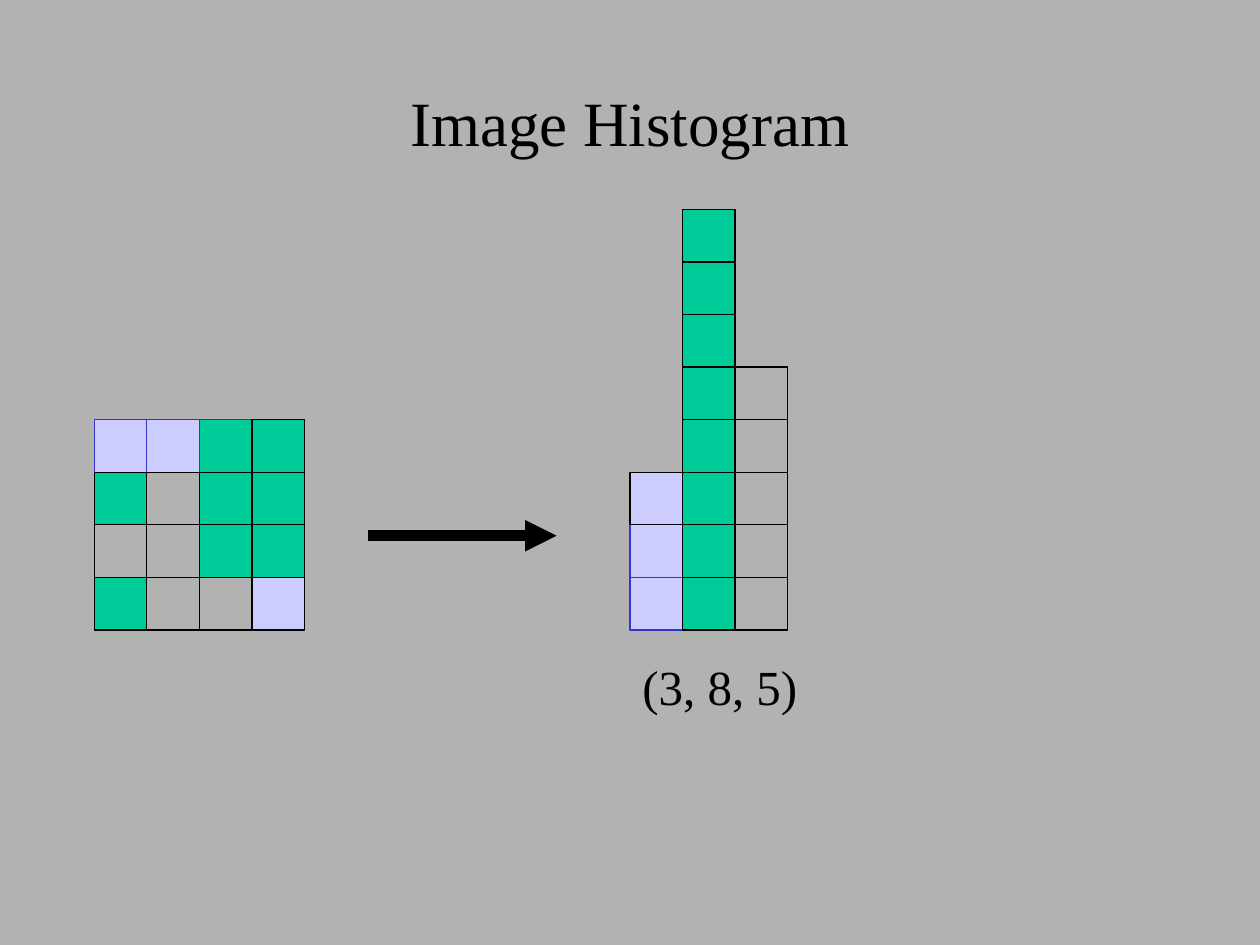
from dataclasses import dataclass
from typing import NamedTuple

from lxml import etree
from pptx import Presentation
from pptx.dml.color import RGBColor
from pptx.enum.shapes import MSO_CONNECTOR, MSO_SHAPE
from pptx.enum.text import MSO_ANCHOR, PP_ALIGN
from pptx.oxml.ns import qn
from pptx.util import Cm, Pt

RECT = MSO_SHAPE.RECTANGLE
STRAIGHT = MSO_CONNECTOR.STRAIGHT
TOP, MIDDLE = MSO_ANCHOR.TOP, MSO_ANCHOR.MIDDLE
LEFT, CENTER = PP_ALIGN.LEFT, PP_ALIGN.CENTER


@dataclass(frozen=True)
class Theme:
    gray: RGBColor = RGBColor(0xB2, 0xB2, 0xB2)
    green: RGBColor = RGBColor(0x00, 0xCC, 0x99)
    lavender: RGBColor = RGBColor(0xCC, 0xCC, 0xFF)
    blue: RGBColor = RGBColor(0x33, 0x33, 0xCC)
    black: RGBColor = RGBColor(0, 0, 0)
    font: str = "Times New Roman"
    title_size: Pt = Pt(36)
    label_size: Pt = Pt(28)
    cell_line: Pt = Pt(0.75)
    arrow_line: Pt = Pt(6)


class Cell(NamedTuple):
    col: int
    level: int  # 0 is the bottom row
    fill: RGBColor


class Label(NamedTuple):
    text: str
    box: tuple[float, float, float, float]
    size: Pt
    align: PP_ALIGN
    anchor: MSO_ANCHOR


THEME = Theme()
CELL = 1.06
BASELINE = 12.7
IMAGE_LEFT = 1.9
HISTOGRAM_LEFT = 12.7

TONES = {"L": THEME.lavender, "G": THEME.green, "-": THEME.gray}
IMAGE_ROWS = ["LLGG", "G-GG", "--GG", "G--L"]
HISTOGRAM = {"L": 3, "G": 8, "-": 5}

LABELS = [
    Label("Image Histogram", (1.9, 0.85, 21.6, 3.18), THEME.title_size, CENTER, MIDDLE),
    Label("(3, 8, 5)", (12.7, 13.12, 3.64, 1.45), THEME.label_size, LEFT, TOP),
]


def add_label(slide, label: Label) -> None:
    tf = slide.shapes.add_textbox(*map(Cm, label.box)).text_frame
    tf.word_wrap = True
    tf.vertical_anchor = label.anchor
    p = tf.paragraphs[0]
    p.alignment = label.align
    r = p.add_run()
    r.text = label.text
    for name, value in {"name": THEME.font, "size": label.size}.items():
        setattr(r.font, name, value)
    r.font.color.rgb = THEME.black


def add_cells(slide, left: float, cells: list[Cell], blue_count: int) -> None:
    """Stack cells on the baseline; the first blue_count have a blue outline."""
    for i, cell in enumerate(cells):
        x = left + cell.col * CELL
        y = BASELINE - (cell.level + 1) * CELL
        sp = slide.shapes.add_shape(RECT, Cm(x), Cm(y), Cm(CELL), Cm(CELL))
        sp.shadow.inherit = False
        sp.fill.solid()
        sp.fill.fore_color.rgb = cell.fill
        sp.line.width = THEME.cell_line
        sp.line.color.rgb = THEME.blue if i < blue_count else THEME.black


def add_arrow(slide, x1: float, x2: float, y: float) -> None:
    arrow = slide.shapes.add_connector(STRAIGHT, Cm(x1), Cm(y), Cm(x2), Cm(y))
    arrow.line.width = THEME.arrow_line
    arrow.line.color.rgb = THEME.black
    etree.SubElement(arrow.line._get_or_add_ln(), qn("a:tailEnd"), type="triangle")
    etree.SubElement(arrow._element.spPr, qn("a:effectLst"))


def main() -> None:
    prs = Presentation()
    prs.slide_width, prs.slide_height = Cm(25.4), Cm(19.05)
    s = prs.slides.add_slide(prs.slide_layouts[6])
    s.background.fill.solid()
    s.background.fill.fore_color.rgb = THEME.gray

    image = [
        Cell(col, len(IMAGE_ROWS) - 1 - row, TONES[tone])
        for row, tones in enumerate(IMAGE_ROWS)
        for col, tone in enumerate(tones)
    ]
    bars = [
        Cell(col, level, TONES[tone])
        for col, (tone, count) in enumerate(HISTOGRAM.items())
        for level in range(count)
    ]
    add_cells(s, IMAGE_LEFT, image, blue_count=3)
    add_arrow(s, 7.41, 11.22, 10.8)
    add_cells(s, HISTOGRAM_LEFT, bars, blue_count=2)
    for label in LABELS:
        add_label(s, label)
    prs.save("out.pptx")


if __name__ == "__main__":
    main()
